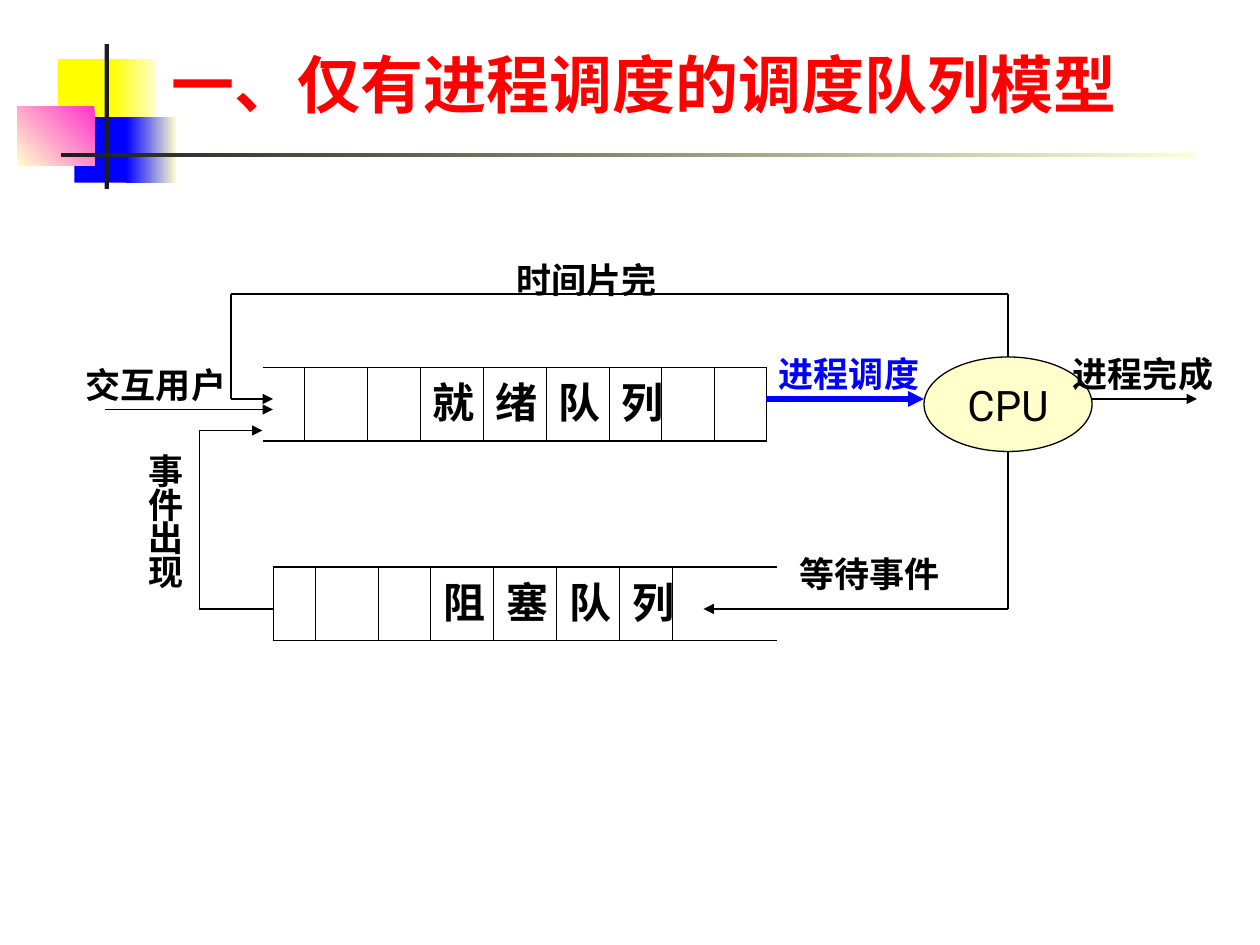
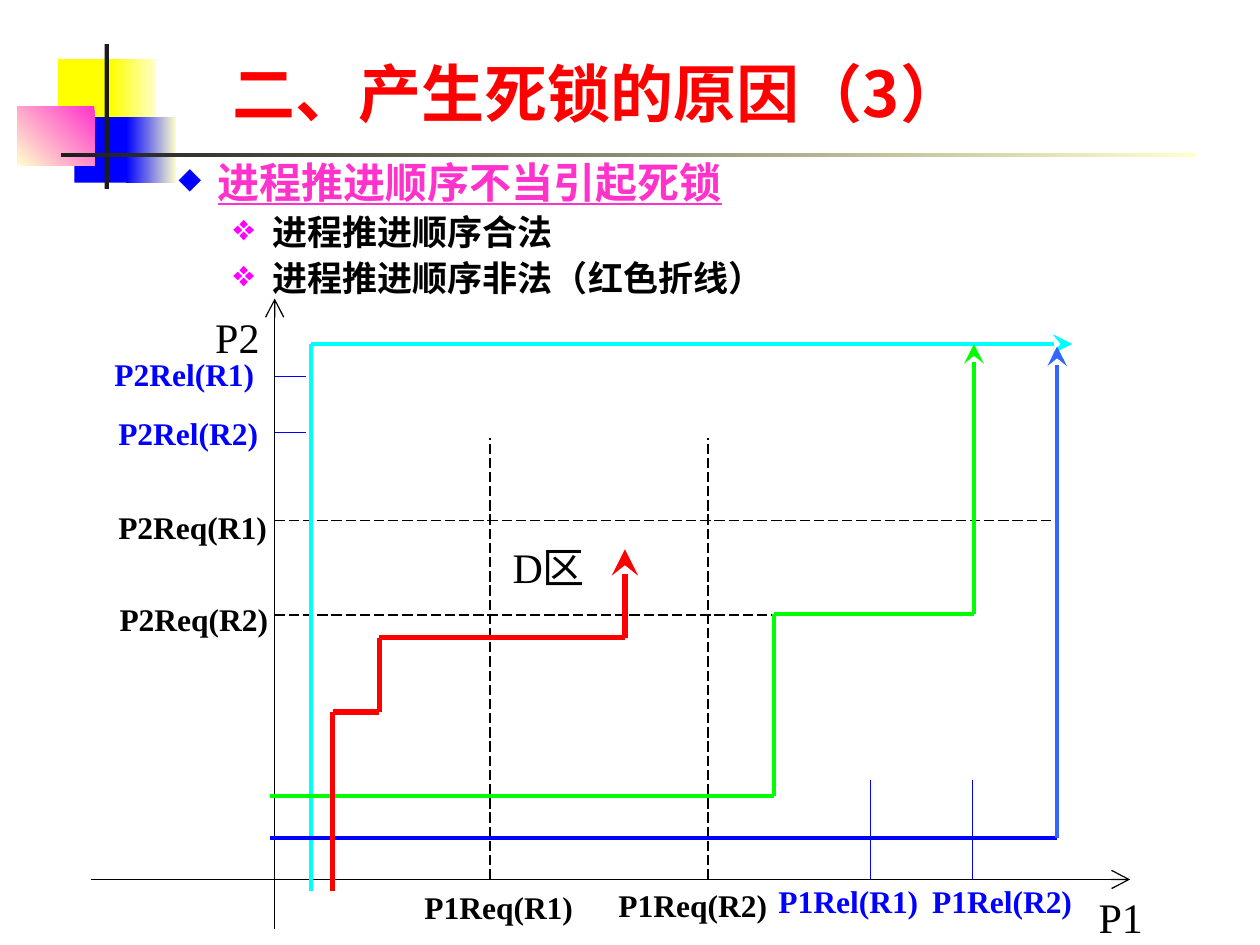
from dataclasses import dataclass
from itertools import pairwise

from lxml import etree
from pptx import Presentation
from pptx.dml.color import RGBColor
from pptx.enum.dml import MSO_LINE
from pptx.enum.shapes import MSO_CONNECTOR, MSO_SHAPE
from pptx.enum.text import MSO_ANCHOR, MSO_AUTO_SIZE, PP_ALIGN
from pptx.oxml.ns import qn
from pptx.util import Inches, Pt

RECTANGLE, OVAL = MSO_SHAPE.RECTANGLE, MSO_SHAPE.OVAL
STRAIGHT = MSO_CONNECTOR.STRAIGHT
LONG_DASH = MSO_LINE.LONG_DASH
TOP, MIDDLE, BOTTOM = MSO_ANCHOR.TOP, MSO_ANCHOR.MIDDLE, MSO_ANCHOR.BOTTOM
FIT_SHAPE, FIXED = MSO_AUTO_SIZE.SHAPE_TO_FIT_TEXT, MSO_AUTO_SIZE.NONE
CENTER = PP_ALIGN.CENTER

SLIDE_WIDTH, SLIDE_HEIGHT = Inches(10), Inches(7.5)
BLACK, INK, CREAM = "000000", "1C1C1C", "FFFFCC"
RED, BLUE, SKY, GREEN = "FF0000", "0000FF", "3366FF", "00FF00"
CYAN, YELLOW, PINK, MAGENTA = "00FFFF", "FFFF00", "FF33CC", "FF00FF"
TITLE_FONT, LABEL_FONT, AXIS_FONT = "Noto Sans CJK SC", "Roboto", "Times New Roman"
EAST_ASIAN_FONTS = {AXIS_FONT: LABEL_FONT}
HEAD_SIZES = {"triangle": "med", "arrow": "lg", "stealth": "lg"}


@dataclass(frozen=True)
class Grid:
    """Square cells, counted by how many fill the slide's width."""
    columns: int

    def length(self, cells: float) -> int:
        return round(SLIDE_WIDTH * cells / self.columns)

    def area(self, *cells: float) -> list[int]:
        return [self.length(cell) for cell in cells]


QUEUE_GRID = Grid(120)
PLOT_GRID = Grid(100)


@dataclass(frozen=True)
class Style:
    size: float
    font: str
    color: str = BLACK
    bold: bool = False
    underline: bool = False


@dataclass(frozen=True)
class Band:
    area: tuple[float, ...]
    start: str
    end: str = ""
    angle: int = 180


@dataclass(frozen=True)
class Route:
    points: tuple[tuple[float, float], ...]
    color: str = BLACK
    weight: float = 0.75
    head: str = ""
    dashed: bool = False


@dataclass(frozen=True)
class Label:
    text: str
    area: tuple[float, ...]
    style: Style
    wrap: bool = True
    spacing: float = 1.0


@dataclass(frozen=True)
class Queue:
    name: str
    left: int
    top: int
    edges: range


@dataclass(frozen=True)
class Bullet:
    text: str
    style: Style
    mark: str
    color: str
    size: int
    margin: float
    hang: float


TITLE = Style(36, TITLE_FONT, RED, True)
QUEUE_NAME = Style(24, LABEL_FONT, bold=True)
CPU_NAME = Style(24, LABEL_FONT)
STEP = Style(20, LABEL_FONT, bold=True)
DISPATCH = Style(20, LABEL_FONT, BLUE, True)
AXIS = Style(24, AXIS_FONT)
REQUEST = Style(18, AXIS_FONT, bold=True)
RELEASE = Style(18, AXIS_FONT, BLUE, True)
TOPIC = Style(24, TITLE_FONT, PINK, True, True)
CASE = Style(20, TITLE_FONT, bold=True)

BANDS = [
    Band((4.6, 4.7, 4.8, 5.2), YELLOW),
    Band((8.8, 4.7, 3.6, 5.2), CREAM, YELLOW),
    Band((5.9, 9.3, 4.6, 5.2), BLUE),
    Band((10, 9.3, 4, 5.2), CREAM, BLUE),
    Band((1.4, 8.45, 6.1, 4.7), PINK, CREAM, 225),
    Band((8.3, 3.5, 0.35, 11.5), INK),
    Band((4.85, 12.15, 90, 0.3), CREAM, INK),
]

CELL_WIDTHS = (4, 6, 5, 6, 6, 6, 5, 5, 5)
CELL_HEIGHT = 7
NAME_START = 3
QUEUES = [
    Queue("就绪队列", 25, 35, range(1, 10)),
    Queue("阻塞队列", 26, 54, range(0, 8)),
]
QUEUE_ROUTES = [
    Route(((73, 38), (88, 38)), BLUE, 3, "triangle"),
    Route(((96, 34), (96, 28), (22, 28), (22, 38), (26, 38)), head="triangle"),
    Route(((104, 38), (114, 38)), head="triangle"),
    Route(((10, 39), (26, 39)), head="triangle"),
    Route(((96, 43), (96, 58), (67, 58)), head="triangle"),
    Route(((26, 58), (19, 58), (19, 41), (25, 41)), head="triangle"),
]
QUEUE_LABELS = [
    Label("进程调度", (73, 33, 20, 5.3), DISPATCH),
    Label("时间片完", (48, 24, 22, 5.3), STEP),
    Label("进程完成", (101, 33, 16, 5.3), STEP),
    Label("等待事件", (75, 52, 18, 5.3), STEP),
    Label("事\n件\n出\n现", (13, 43, 7, 14), STEP, spacing=0.8),
    Label("交互用户", (7, 34, 16, 5.3), STEP),
]

BULLETS = [
    Bullet("进程推进顺序不当引起死锁", TOPIC, "◆", BLUE, 70, 3.8, 3.1),
    Bullet("进程推进顺序合法", CASE, "❖", MAGENTA, 105, 8.15, 3.1),
    Bullet("进程推进顺序非法（红色折线）", CASE, "❖", MAGENTA, 105, 8.15, 3.1),
]
ORIGIN_X, ORIGIN_Y = 21.8, 69.8
PLOT_ROUTES = [
    # Axes
    Route(((ORIGIN_X, 73.7), (ORIGIN_X, 23.7)), head="arrow"),
    Route(((7.2, ORIGIN_Y), (89.7, ORIGIN_Y)), head="arrow"),
    # Request and release marks
    *[Route(((x, ORIGIN_Y), (x, 34.8)), dashed=True) for x in (38.9, 56.2)],
    *[Route(((x, ORIGIN_Y), (x, 61.9)), BLUE) for x in (69.1, 77.2)],
    *[Route(((ORIGIN_X, y), (x, y)), dashed=True) for x, y in ((61.3, 48.8), (84, 41.3))],
    *[Route(((ORIGIN_X, y), (24.3, y)), BLUE) for y in (34.3, 29.9)],
    # Orders in which the processes advance
    Route(((24.7, 70.7), (24.7, 27.3), (85.1, 27.3)), CYAN, 2.25, "stealth"),
    Route(((21.4, 66.5), (83.9, 66.5)), BLUE, 2.25),
    Route(((83.9, 66.5), (83.9, 27.5)), SKY, 2.25, "stealth"),
    Route(((21.4, 63.2), (61.4, 63.2), (61.4, 48.7), (77.3, 48.7), (77.3, 27.3)),
          GREEN, 2.25, "stealth"),
    Route(((26.4, 70.7), (26.4, 56.5), (30.1, 56.5), (30.1, 50.6), (49.6, 50.6),
           (49.6, 43.6)), RED, 3, "stealth"),
]
PLOT_LABELS = [
    Label("P1", (86.2, 70.3, 5.5, 5), AXIS, False),
    Label("P2", (16.1, 24.2, 5.5, 5), AXIS, False),
    Label("D区", (39.7, 42.5, 11, 5), AXIS),
    Label("P1Req(R1)", (32.7, 70, 13.8, 4), REQUEST, False),
    Label("P1Req(R2)", (48.1, 69.8, 13.8, 4), REQUEST, False),
    Label("P1Rel(R1)", (60.8, 69.5, 13.1, 4), RELEASE, False),
    Label("P1Rel(R2)", (73, 69.5, 13.1, 4), RELEASE, False),
    Label("P2Req(R2)", (8.5, 47.1, 13.8, 4), REQUEST, False),
    Label("P2Req(R1)", (8.4, 39.8, 13.8, 4), REQUEST, False),
    Label("P2Rel(R2)", (8.4, 32.4, 13.1, 4), RELEASE, False),
    Label("P2Rel(R1)", (8.1, 27.7, 13.1, 4), RELEASE, False),
]


def rgb(color: str) -> RGBColor:
    return RGBColor.from_string(color)


def add_child(parent, tag: str, **attributes: str):
    return etree.SubElement(parent, qn(tag), attributes)


def add_span(para, text: str, style: Style) -> None:
    span = para.add_run()
    span.text = text
    font = span.font
    font.name, font.size = style.font, Pt(style.size)
    font.bold, font.underline = style.bold, style.underline
    font.color.rgb = rgb(style.color)
    add_child(font._element, "a:ea", typeface=EAST_ASIAN_FONTS.get(style.font, style.font))


def add_label(page, grid: Grid, label: Label, anchor=TOP, fit=FIT_SHAPE) -> None:
    frame = page.shapes.add_textbox(*grid.area(*label.area)).text_frame
    frame.word_wrap, frame.auto_size = label.wrap, fit
    frame.vertical_anchor = anchor
    for index, line in enumerate(label.text.split("\n")):
        para = frame.add_paragraph() if index else frame.paragraphs[0]
        para.line_spacing = label.spacing
        add_span(para, line, label.style)


def add_band(page, band: Band) -> None:
    shape = page.shapes.add_shape(RECTANGLE, *PLOT_GRID.area(*band.area))
    shape.shadow.inherit = False
    shape.line.fill.background()
    if band.end:
        shape.fill.gradient()
        shape.fill.gradient_angle = band.angle
        for stop, color in zip(shape.fill.gradient_stops, (band.start, band.end)):
            stop.color.rgb = rgb(color)
    else:
        shape.fill.solid()
        shape.fill.fore_color.rgb = rgb(band.start)


def add_route(page, grid: Grid, route: Route) -> None:
    for start, end in pairwise(route.points):
        segment = page.shapes.add_connector(STRAIGHT, *grid.area(*start, *end))
        line = segment.line
        line.color.rgb, line.width = rgb(route.color), Pt(route.weight)
        if route.dashed:
            line.dash_style = LONG_DASH
        if route.head and end == route.points[-1]:
            size = HEAD_SIZES[route.head]
            add_child(line._ln, "a:tailEnd", type=route.head, w=size, len=size)
        add_child(segment._element.spPr, "a:effectLst")


def add_border(cell, side: str, weight: float) -> None:
    border = add_child(cell._tc.get_or_add_tcPr(), f"a:ln{side}", w=str(Pt(weight)))
    if weight:
        fill = add_child(border, "a:solidFill")
        add_child(fill, "a:srgbClr", val=BLACK)
    else:
        add_child(border, "a:noFill")


def add_queue(page, queue: Queue) -> None:
    area = QUEUE_GRID.area(queue.left, queue.top, sum(CELL_WIDTHS), CELL_HEIGHT)
    table = page.shapes.add_table(1, len(CELL_WIDTHS), *area).table
    table.first_row = table.horz_banding = False
    for index, width in enumerate(CELL_WIDTHS):
        table.columns[index].width = QUEUE_GRID.length(width)
        cell = table.cell(0, index)
        cell.vertical_anchor = MIDDLE
        add_border(cell, "L", 0.45 if index in queue.edges else 0)
        add_border(cell, "R", 0.45 if index + 1 in queue.edges else 0)
        add_border(cell, "T", 1.08)
        add_border(cell, "B", 1.08)
        cell.fill.background()
    for index, letter in enumerate(queue.name, NAME_START):
        add_span(table.cell(0, index).text_frame.paragraphs[0], letter, QUEUE_NAME)


def add_cpu(page) -> None:
    shape = page.shapes.add_shape(OVAL, *QUEUE_GRID.area(88, 34, 16, 9))
    shape.shadow.inherit = False
    shape.fill.solid()
    shape.fill.fore_color.rgb = rgb(CREAM)
    shape.line.color.rgb, shape.line.width = rgb(BLACK), Pt(0.75)
    frame = shape.text_frame
    frame.word_wrap, frame.vertical_anchor = False, MIDDLE
    frame.paragraphs[0].alignment = CENTER
    add_span(frame.paragraphs[0], "CPU", CPU_NAME)


def add_bullets(page) -> None:
    frame = page.shapes.add_textbox(*PLOT_GRID.area(12.5, 11.5, 80.4, 17.3)).text_frame
    frame.word_wrap = True
    for index, bullet in enumerate(BULLETS):
        para = frame.add_paragraph() if index else frame.paragraphs[0]
        para.level = 1 if index else 0
        props = para._p.get_or_add_pPr()
        props.set("marL", str(PLOT_GRID.length(bullet.margin)))
        props.set("indent", str(-PLOT_GRID.length(bullet.hang)))
        add_child(add_child(props, "a:buClr"), "a:srgbClr", val=bullet.color)
        add_child(props, "a:buSzPct", val=str(bullet.size * 1000))
        add_child(props, "a:buChar", char=bullet.mark)
        para.line_spacing = 1.1
        add_span(para, bullet.text, bullet.style)


def add_page(deck, title: str, area: tuple[float, ...]):
    page = deck.slides.add_slide(deck.slide_layouts[6])
    for band in BANDS:
        add_band(page, band)
    add_label(page, PLOT_GRID, Label(title, area, TITLE), BOTTOM, FIXED)
    return page


def add_diagram(page, grid: Grid, routes: list[Route], labels: list[Label]) -> None:
    for route in routes:
        add_route(page, grid, route)
    for label in labels:
        add_label(page, grid, label)


def main() -> None:
    deck = Presentation()
    deck.slide_width, deck.slide_height = SLIDE_WIDTH, SLIDE_HEIGHT

    # Scheduling queues
    page = add_page(deck, "一、仅有进程调度的调度队列模型", (12.6, 2.8, 85.2, 7.3))
    for queue in QUEUES:
        add_queue(page, queue)
    add_cpu(page)
    add_diagram(page, QUEUE_GRID, QUEUE_ROUTES, QUEUE_LABELS)

    # Causes of deadlock
    page = add_page(deck, "二、产生死锁的原因（3）", (17.5, 3.2, 64.8, 7.6))
    add_bullets(page)
    add_diagram(page, PLOT_GRID, PLOT_ROUTES, PLOT_LABELS)

    deck.save("out.pptx")


if __name__ == "__main__":
    main()
